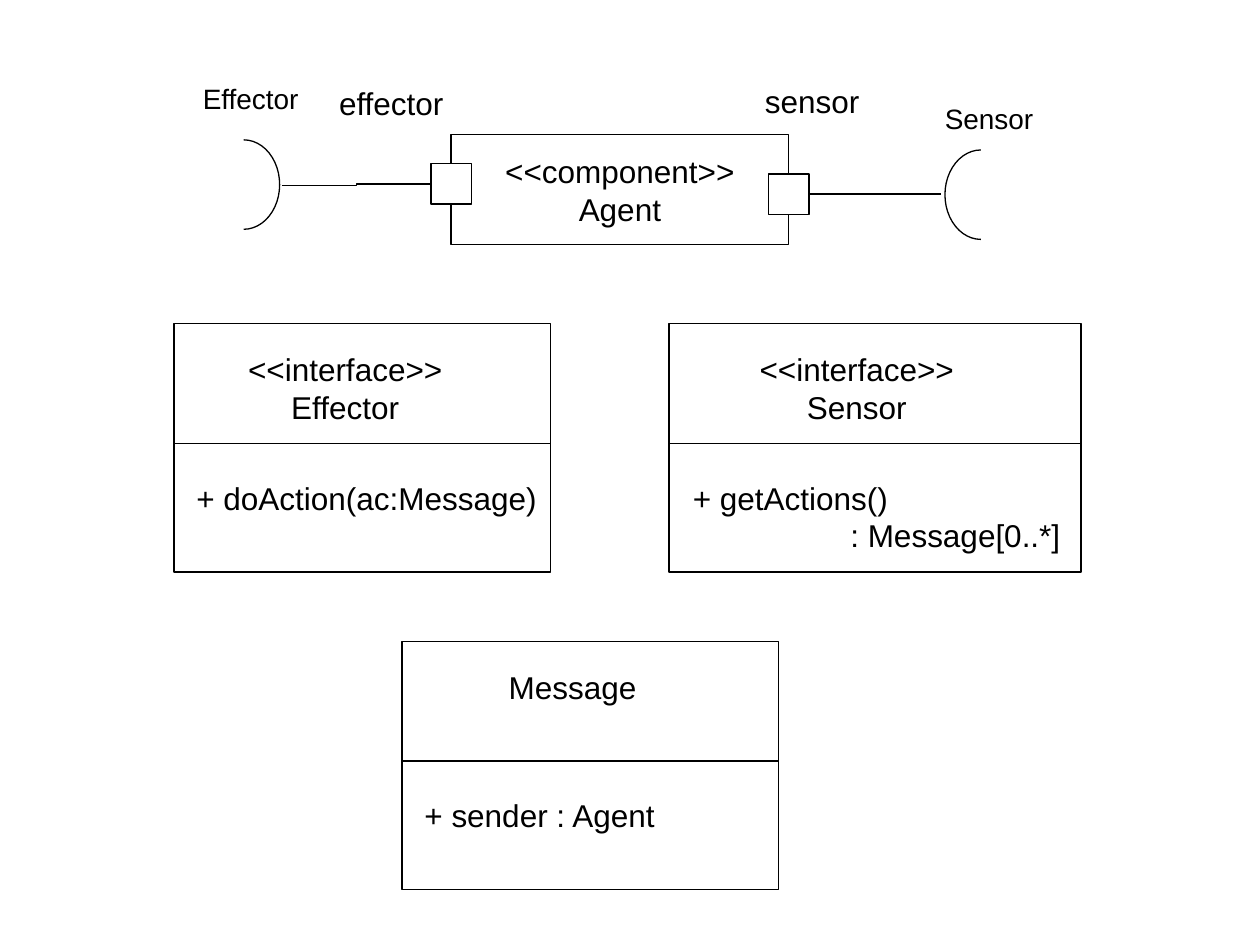
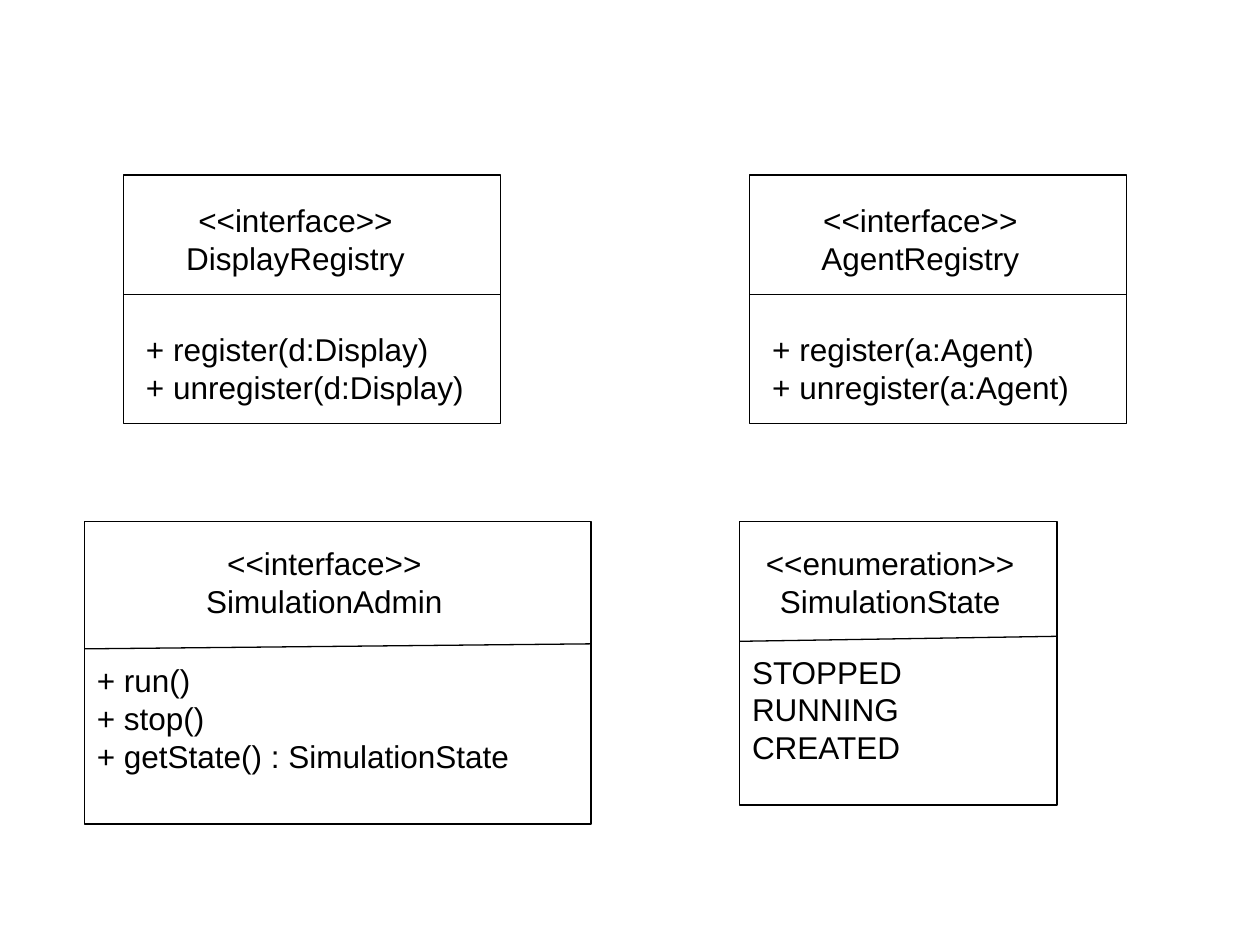
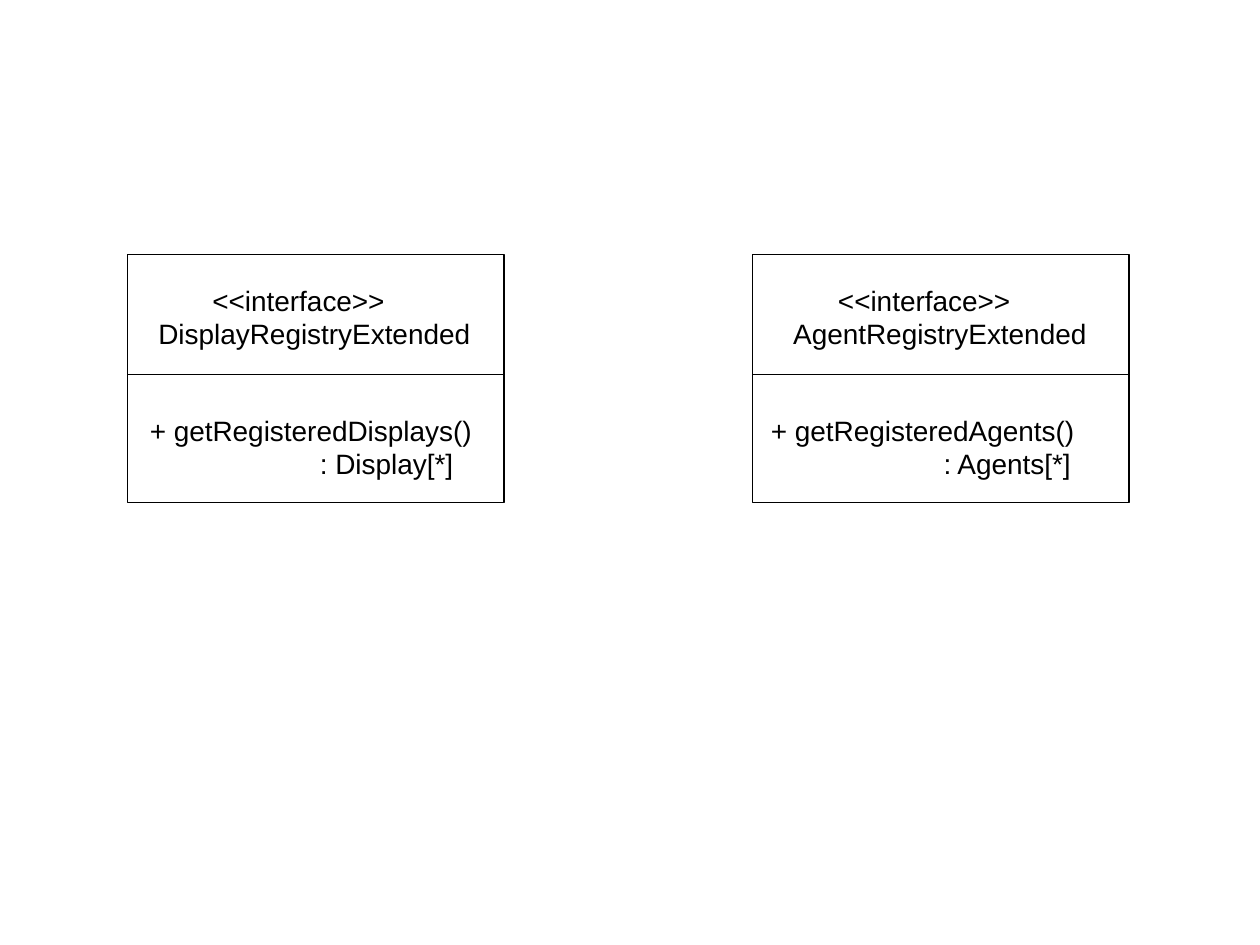
"""Build three slides of UML component and class diagrams."""
from lxml import etree
from pptx import Presentation, util as u
from pptx.dml import color
from pptx.enum import shapes, text
from pptx.oxml import ns

INK, PAPER, FONT = "000000", "FFFFFF", "Arial"
KIND, LINK = shapes.MSO_SHAPE, shapes.MSO_CONNECTOR
ROW = {16: 0.27, 18: 0.3}
SLACK = 0.03


def paint(part, fill=None):
    part.line.color.rgb = color.RGBColor.from_string(INK)
    part.line.width = u.Pt(0.75)
    if hasattr(part, "fill"):
        part.shadow.inherit = False
        if fill:
            part.fill.solid()
            part.fill.fore_color.rgb = color.RGBColor.from_string(fill)
        else:
            part.fill.background()
    else:
        etree.SubElement(part._element.spPr, ns.qn("a:effectLst"))
    return part


def write(tree, words, x, y, wide, size=18, mid=True, dent=0, host=None):
    rows = words.split("\n")
    if host is None:
        high = ROW[size] * len(rows) + 0.1
        left = x - SLACK if mid else x
        host = tree.add_textbox(*map(u.Inches, (left, y, wide + 2 * SLACK, high)))
        host.text_frame.auto_size = text.MSO_AUTO_SIZE.SHAPE_TO_FIT_TEXT
    frame = host.text_frame
    frame.word_wrap = False
    for i, row in enumerate(rows):
        para = frame.paragraphs[0] if i == 0 else frame.add_paragraph()
        para.alignment = text.PP_ALIGN.CENTER if mid else text.PP_ALIGN.LEFT
        if dent and i:
            para._p.get_or_add_pPr().set("marL", str(u.Inches(dent)))
        run = para.add_run()
        run.text = row
        run.font.name, run.font.size = FONT, u.Pt(size)
        run.font.color.rgb = color.RGBColor.from_string(INK)


deck = Presentation()
deck.slide_width, deck.slide_height = u.Inches(10), u.Inches(7.5)
pages = [deck.slides.add_slide(deck.slide_layouts[6]) for _ in range(3)]
tree = pages[0].shapes

agent = paint(tree.add_shape(KIND.RECTANGLE, *map(u.Inches, (3.58, 1.07, 2.68, 0.87))), PAPER)
agent.text_frame.vertical_anchor = text.MSO_ANCHOR.MIDDLE
write(tree, "<<component>>\nAgent", 0, 0, 0, host=agent)

ports = [
    (3.42, 1.3, 1, 2.24, 1.47, 1.65, 1.11, (162, 54)),
    (6.1, 1.38, 3, 7.47, 1.54, 7.5, 1.19, (54, 162)),
]
for x, y, side, endx, endy, arcx, arcy, turn in ports:
    port = paint(tree.add_shape(KIND.RECTANGLE, *map(u.Inches, (x, y, 0.32, 0.32))), PAPER)
    wire = tree.add_connector(LINK.ELBOW, 0, 0, u.Inches(endx), u.Inches(endy))
    wire.begin_connect(port, side)
    paint(wire)
    arc = paint(tree.add_shape(KIND.ARC, *map(u.Inches, (arcx, arcy, 0.57, 0.71))))
    arc.adjustments[0], arc.adjustments[1] = turn

labels = [
    ("effector", 2.59, 0.62, 1.03, 18),
    ("sensor", 5.97, 0.6, 0.95, 18),
    ("Effector", 1.51, 0.6, 0.96, 16),
    ("Sensor", 7.4, 0.76, 0.9, 16),
]
for words, x, y, wide, size in labels:
    write(tree, words, x, y, wide, size)

plain = dict(high=1.97, left=0.95, right=0.95, top=0.16, body=1.18, size=18)
small = dict(plain, top=0.18, body=1.21, size=16)
admin = dict(plain, high=2.4, left=1.01, right=0.97, top=0.13, body=1.06)
state = dict(plain, high=2.25, left=0.95, right=0.91, top=0.13, body=0.99)
face = "<<interface>>\n"
classes = [
    (0, 1.38, 2.57, 2.99, plain, face + "Effector", 1.87, 1.74, 0,
     "+ doAction(ac:Message)", 1.46, 2.9, 0),
    (0, 5.31, 2.57, 3.27, plain, face + "Sensor", 5.93, 1.74, 0,
     "+ getActions()\n: Message[0..*]", 5.4, 3.12, 1.25),
    (0, 3.19, 5.09, 2.99, plain, "Message", 3.94, 1.21, 0,
     "+ sender : Agent", 3.27, 2.04, 0),
    (1, 0.98, 1.39, 2.99, plain, face + "DisplayRegistry", 1.38, 1.93, 0,
     "+ register(d:Display)\n+ unregister(d:Display)", 1.06, 2.72, 0),
    (1, 5.95, 1.39, 2.99, plain, face + "AgentRegistry", 6.42, 1.77, 0,
     "+ register(a:Agent)\n+ unregister(a:Agent)", 6.03, 2.55, 0),
    (1, 0.67, 4.14, 4.02, admin, face + "SimulationAdmin", 1.54, 2.07, 0,
     "+ run()\n+ stop()\n+ getState() : SimulationState", 0.67, 3.47, 0),
    (1, 5.87, 4.14, 2.52, state, "<<enumeration>>\nSimulationState", 5.98, 2.17, 0,
     "STOPPED\nRUNNING\nCREATED", 5.87, 1.39, 0),
    (2, 1.01, 2.02, 2.99, small, face + "DisplayRegistryExtended", 0.91, 2.92, 0.25,
     "+ getRegisteredDisplays()\n: Display[*]", 1.09, 2.75, 1.35),
    (2, 5.97, 2.02, 2.99, small, face + "AgentRegistryExtended", 5.95, 2.77, 0.25,
     "+ getRegisteredAgents()\n: Agents[*]", 6.02, 2.61, 1.37),
]
for page, x, y, wide, form, name, namex, namew, shift, body, bodyx, bodyw, dent in classes:
    group = pages[page].shapes.add_group_shape().shapes
    paint(group.add_shape(KIND.RECTANGLE, *map(u.Inches, (x, y, wide, form["high"]))), PAPER)
    write(group, name, namex, y + form["top"], namew, form["size"], dent=shift)
    ends = (x, y + form["left"], x + wide, y + form["right"])
    paint(group.add_connector(LINK.STRAIGHT, *map(u.Inches, ends)))
    write(group, body, bodyx, y + form["body"], bodyw, form["size"], mid=False, dent=dent)

deck.save("out.pptx")
